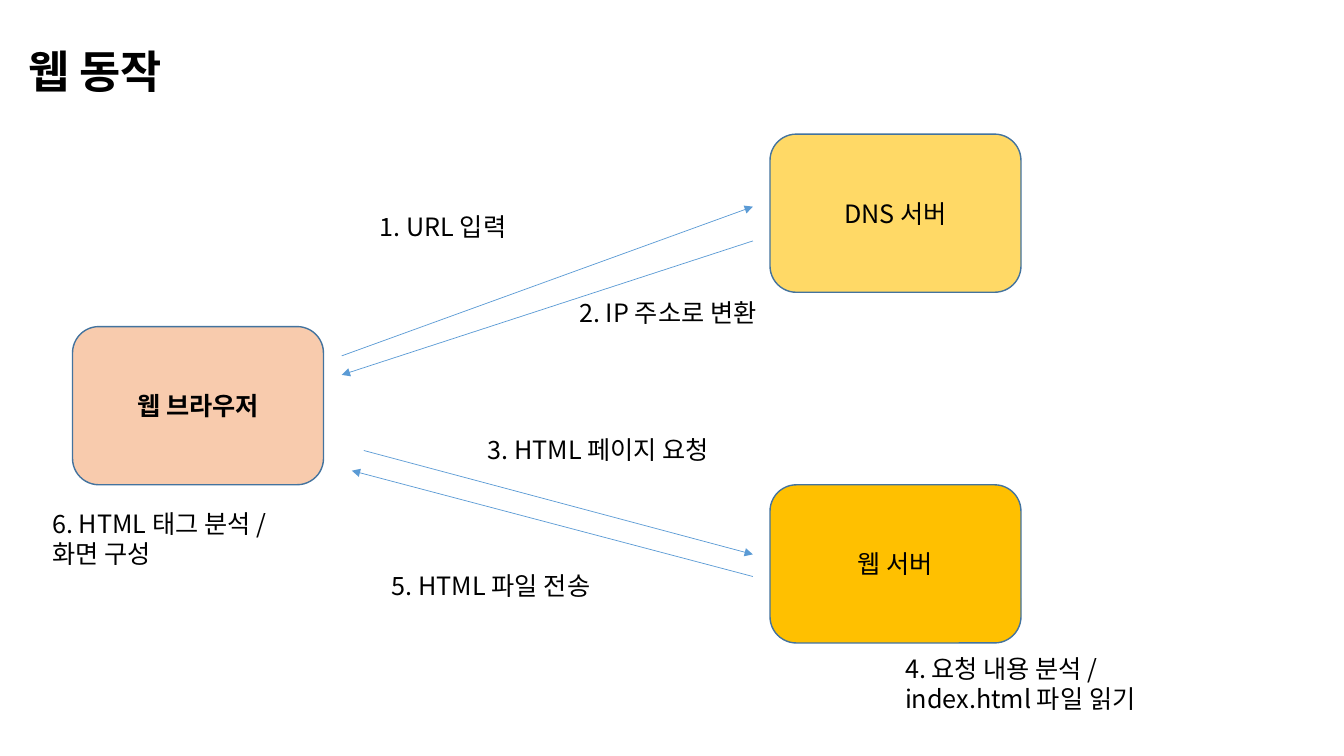
"""Builds a slide on how a browser, a DNS server and a web server work together."""
from lxml import etree
from pptx import Presentation
from pptx.dml.color import RGBColor
from pptx.enum import shapes, text
from pptx.oxml import ns
from pptx.util import Pt

FONT = "Noto Sans CJK KR"
COLORS = {
    "text": "000000",
    "border": "43739E",
    "arrow": "5B9BD5",
    "browser": "F8CBAD",
    "dns": "FFD966",
    "web": "FFC000",
}
TITLE = ("웹 동작", 13, 27.4, 231, 46)
NODE_W, NODE_H = 179.3, 113
SERVER_X = 550
NODES = [
    ("웹 브라우저", 51.8, 233.3, "browser", True),
    ("DNS 서버", SERVER_X, 95.8, "dns", False),
    ("웹 서버", SERVER_X, 346.3, "web", False),
]
ARROW_RIGHT = 537.8
ARROWS = [
    ((244.1, 254.2), (ARROW_RIGHT, 147.6)),
    ((ARROW_RIGHT, 172.1), (244.1, 267.8)),
    ((ARROW_RIGHT, 411.8), (251.3, 336.2)),
    ((259.9, 321.8), (ARROW_RIGHT, 396)),
]
ONE_LINE, TWO_LINES = 29, 51
STEP_W = 197.3
STEPS = [
    ("1. URL 입력", 264.2, 147.6, 135.4, ONE_LINE),
    ("2. IP 주소로 변환", 406.8, 208.8, 162.7, ONE_LINE),
    ("3. HTML 페이지 요청", 341.3, 306.7, STEP_W, ONE_LINE),
    ("4. 요청 내용 분석 / index.html 파일 읽기", 639.4, 463, STEP_W, TWO_LINES),
    ("5. HTML 파일 전송", 272.9, 403.9, STEP_W, ONE_LINE),
    ("6. HTML 태그 분석 / 화면 구성", 30.2, 359.3, STEP_W, TWO_LINES),
]


def rgb(name):
    return RGBColor.from_string(COLORS[name])


def write(sp, words, size=18, bold=False, align=None, anchor=text.MSO_ANCHOR.TOP):
    tf = sp.text_frame
    tf.word_wrap = True
    tf.vertical_anchor = anchor
    p = tf.paragraphs[0]
    p.alignment = align
    r = p.add_run()
    r.text = words
    r.font.size = Pt(size)
    r.font.bold = bold
    r.font.color.rgb = rgb("text")
    r.font.name = FONT
    etree.SubElement(r.font._element, ns.qn("a:ea"), typeface=FONT)


def add_label(slide, words, *box, **fmt):
    sp = slide.shapes.add_textbox(*map(Pt, box))
    write(sp, words, **fmt)
    sp.text_frame.auto_size = text.MSO_AUTO_SIZE.SHAPE_TO_FIT_TEXT


def add_node(slide, words, x, y, color, bold):
    sp = slide.shapes.add_shape(
        shapes.MSO_SHAPE.ROUNDED_RECTANGLE, Pt(x), Pt(y), Pt(NODE_W), Pt(NODE_H)
    )
    sp.shadow.inherit = False
    sp.fill.solid()
    sp.fill.fore_color.rgb = rgb(color)
    sp.line.color.rgb = rgb("border")
    sp.line.width = Pt(1)
    write(sp, words, bold=bold, align=text.PP_ALIGN.CENTER, anchor=text.MSO_ANCHOR.MIDDLE)


def add_arrow(slide, start, end):
    line = slide.shapes.add_connector(
        shapes.MSO_CONNECTOR.STRAIGHT, *map(Pt, start + end)
    )
    line.line.color.rgb = rgb("arrow")
    line.line.width = Pt(0.5)
    etree.SubElement(line.line._get_or_add_ln(), ns.qn("a:tailEnd"), type="triangle")
    etree.SubElement(line._element.spPr, ns.qn("a:effectLst"))


def main():
    prs = Presentation()
    prs.slide_width, prs.slide_height = Pt(960), Pt(540)
    s = prs.slides.add_slide(prs.slide_layouts[6])
    add_label(s, *TITLE, size=32, bold=True)
    for node in NODES:
        add_node(s, *node)
    for start, end in ARROWS:
        add_arrow(s, start, end)
    for step in STEPS:
        add_label(s, *step)
    prs.save("out.pptx")


if __name__ == "__main__":
    main()
